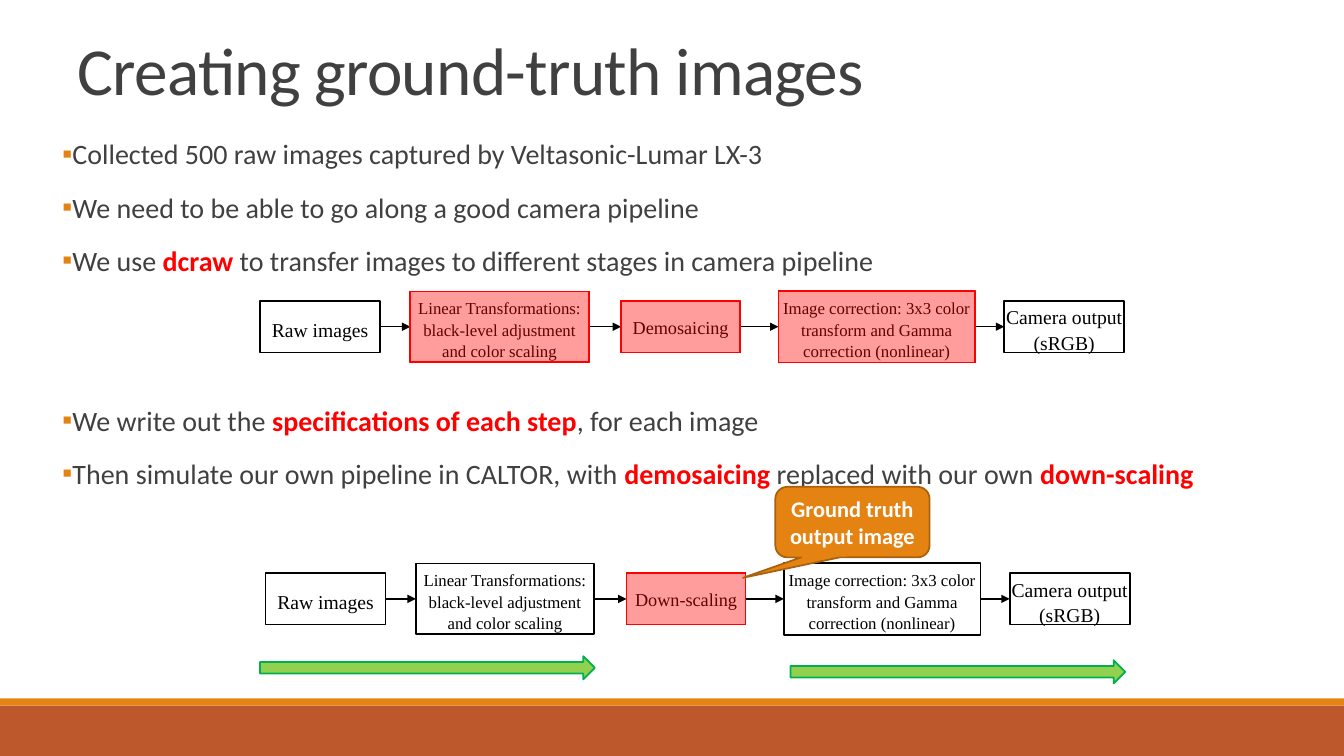
import itertools

import pptx
import pptx.dml.color
import pptx.enum.shapes
import pptx.enum.text
import pptx.oxml
import pptx.oxml.ns
import pptx.util

SHAPE = pptx.enum.shapes.MSO_SHAPE
ALIGN = pptx.enum.text.PP_ALIGN
ANCHOR = pptx.enum.text.MSO_ANCHOR
Pt = pptx.util.Pt
DRAWING = pptx.oxml.ns.nsdecls("a")

THEME = {
    "ink": "404040", "black": "000000", "white": "FFFFFF", "red": "FF0000",
    "orange": "E48312", "rust": "BD582C", "callout_edge": "A9610D",
    "green": "92D050", "green_edge": "00B050",
    "sans": "Calibri", "serif": "Times New Roman",
    "title": 48, "body": 20, "callout": 16, "end": 14, "middle": 13, "detail": 12,
}

deck = pptx.Presentation()
deck.slide_width = pptx.util.Inches(13.33)
deck.slide_height = pptx.util.Inches(7.5)
CELL = deck.slide_height / 90
page = deck.slides.add_slide(deck.slide_layouts[5])


def draw(kind, cells, fill, line=None):
    shape = page.shapes.add_shape(kind, *[round(cell * CELL) for cell in cells])
    shape.shadow.inherit = False
    shape.fill.solid()
    shape.fill.fore_color.rgb = pptx.dml.color.RGBColor.from_string(THEME[fill])
    if line:
        shape.line.color.rgb = pptx.dml.color.RGBColor.from_string(THEME[line])
        shape.line.width = Pt(1.25)
    else:
        shape.line.fill.background()
    return shape


def write(para, text, family, size, color, bold=False):
    spans = []
    for index, piece in enumerate(text.split("\v")):
        if index:
            para.add_line_break()
        span = para.add_run()
        span.text = piece
        spans.append(span)
    formats = {"name": THEME[family], "size": Pt(THEME[size]), "bold": bold}
    for span in spans:
        for name, value in formats.items():
            setattr(span.font, name, value)
        span.font.color.rgb = pptx.dml.color.RGBColor.from_string(THEME[color])
    return spans[0]


draw(SHAPE.RECTANGLE, (0, 84, 160, 6), "rust")
draw(SHAPE.RECTANGLE, (0, 83.16, 160, 0.84), "orange")

title = page.shapes.title
body = page.shapes.add_textbox(0, 0, 0, 0)
frames = [
    (title, (6.24, 4.08, 148.32, 9.72), 3, ANCHOR.MIDDLE),
    (body, (6.24, 15.72, 150.84, 68.04), 1.2, ANCHOR.TOP),
]
for box, cells, inset, anchor in frames:
    for name, cell in zip(("left", "top", "width", "height"), cells):
        setattr(box, name, round(cell * CELL))
    formats = {
        "word_wrap": True, "vertical_anchor": anchor, "margin_left": round(inset * CELL),
        "auto_size": pptx.enum.text.MSO_AUTO_SIZE.NONE,
    }
    for name, value in formats.items():
        setattr(box.text_frame, name, value)

para = title.text_frame.paragraphs[0]
para.alignment = ALIGN.LEFT
para.line_spacing = 0.85
span = write(para, "Creating ground-truth images", "sans", "title", "ink")
span.font._element.set("spc", "-50")

points = [
    (0, [("Collected 500 raw images captured by Veltasonic-Lumar LX-3", False)]),
    (12, [("We need to be able to go along a good camera pipeline", False)]),
    (12, [("We use ", False), ("dcraw ", True),
          ("to transfer images to different stages in camera pipeline", False)]),
    (88, [("We write out the ", False), ("specifications of each step", True),
          (", for each image", False)]),
    (12, [("Then simulate our own pipeline in CALTOR, with ", False), ("demosaicing ", True),
          ("replaced with our own ", False), ("down-scaling", True)]),
]
for index, (space, pieces) in enumerate(points):
    para = body.text_frame.add_paragraph() if index else body.text_frame.paragraphs[0]
    para.space_before = Pt(space)
    para.space_after = Pt(2)
    settings = para._p.get_or_add_pPr()
    settings.set("marL", "91440")
    settings.set("indent", "-91440")
    for bullet in (
        f'<a:buClr {DRAWING}><a:srgbClr val="{THEME["orange"]}"/></a:buClr>',
        f'<a:buFont {DRAWING} typeface="{THEME["sans"]}"/>',
        f'<a:buChar {DRAWING} char="▪"/>',
    ):
        settings.append(pptx.oxml.parse_xml(bullet))
    for text, strong in pieces:
        write(para, text, "sans", "body", "red" if strong else "ink", strong)

AXIS = 38.9
stages = [
    ("Raw images", "end", 30.96, 14.28, 6.12),
    ("Linear Transformations:\vblack-level adjustment and color scaling", "detail",
     48.84, 21.24, 8.4),
    ("Demosaicing", "middle", 73.92, 14.16, 6.12),
    ("Image correction: 3x3 color transform and Gamma correction (nonlinear)", "detail",
     92.64, 23.4, 8.52),
    ("Camera output (sRGB)", "end", 119.52, 14.28, 6.12),
]
pipelines = [
    (0, 0, "Demosaicing", (1, 2, 3)),
    (0.65, 32.4, "Down-scaling", (2,)),
]
for shift, drop, middle_label, tinted in pipelines:
    boxes = []
    places = []
    for label, size, left, width, height in stages:
        cells = (left + shift, AXIS + drop - height / 2, width, height)
        box = draw(SHAPE.RECTANGLE, cells, "white", "black")
        formats = {
            "word_wrap": True, "vertical_anchor": ANCHOR.MIDDLE,
            "margin_left": 0, "margin_right": 0, "margin_bottom": 0,
            "margin_top": 0 if size == "middle" else round(0.5 * CELL),
        }
        for name, value in formats.items():
            setattr(box.text_frame, name, value)
        para = box.text_frame.paragraphs[0]
        formats = {"alignment": ALIGN.CENTER, "line_spacing": 1.07, "space_after": Pt(8)}
        for name, value in formats.items():
            setattr(para, name, value)
        write(para, middle_label if size == "middle" else label, "serif", size, "black")
        boxes.append(box)
        places.append(cells)

    for before, after in itertools.pairwise(boxes):
        arrow = page.shapes.add_connector(
            pptx.enum.shapes.MSO_CONNECTOR.STRAIGHT, 0, 0, 0, 0)
        arrow.begin_connect(before, 3)
        arrow.end_connect(after, 1)
        arrow.line.color.rgb = pptx.dml.color.RGBColor.from_string(THEME["black"])
        arrow.line.width = Pt(1)
        arrow.line._get_or_add_ln().append(
            pptx.oxml.parse_xml(f'<a:tailEnd {DRAWING} type="triangle"/>'))
        arrow._element.spPr.append(pptx.oxml.parse_xml(f"<a:effectLst {DRAWING}/>"))

    for index in tinted:
        tint = draw(SHAPE.RECTANGLE, places[index], "red", "red")
        color = tint._element.spPr.find(".//" + pptx.oxml.ns.qn("a:srgbClr"))
        color.append(pptx.oxml.parse_xml(f'<a:alpha {DRAWING} val="39000"/>'))

callout = draw(SHAPE.ROUNDED_RECTANGULAR_CALLOUT, (92.28, 57.96, 18.36, 8.4),
               "orange", "callout_edge")
for index, value in enumerate((-0.71, 0.79, 0.17)):
    callout.adjustments[index] = value
callout.text_frame.word_wrap = True
callout.text_frame.vertical_anchor = ANCHOR.MIDDLE
para = callout.text_frame.paragraphs[0]
para.alignment = ALIGN.CENTER
write(para, "Ground truth\voutput image", "sans", "callout", "white", True)

for left, top in ((30.96, 78.12), (94.08, 78.6)):
    draw(SHAPE.RIGHT_ARROW, (left, top, 39.84, 2.76), "green", "green_edge")

deck.save("out.pptx")
